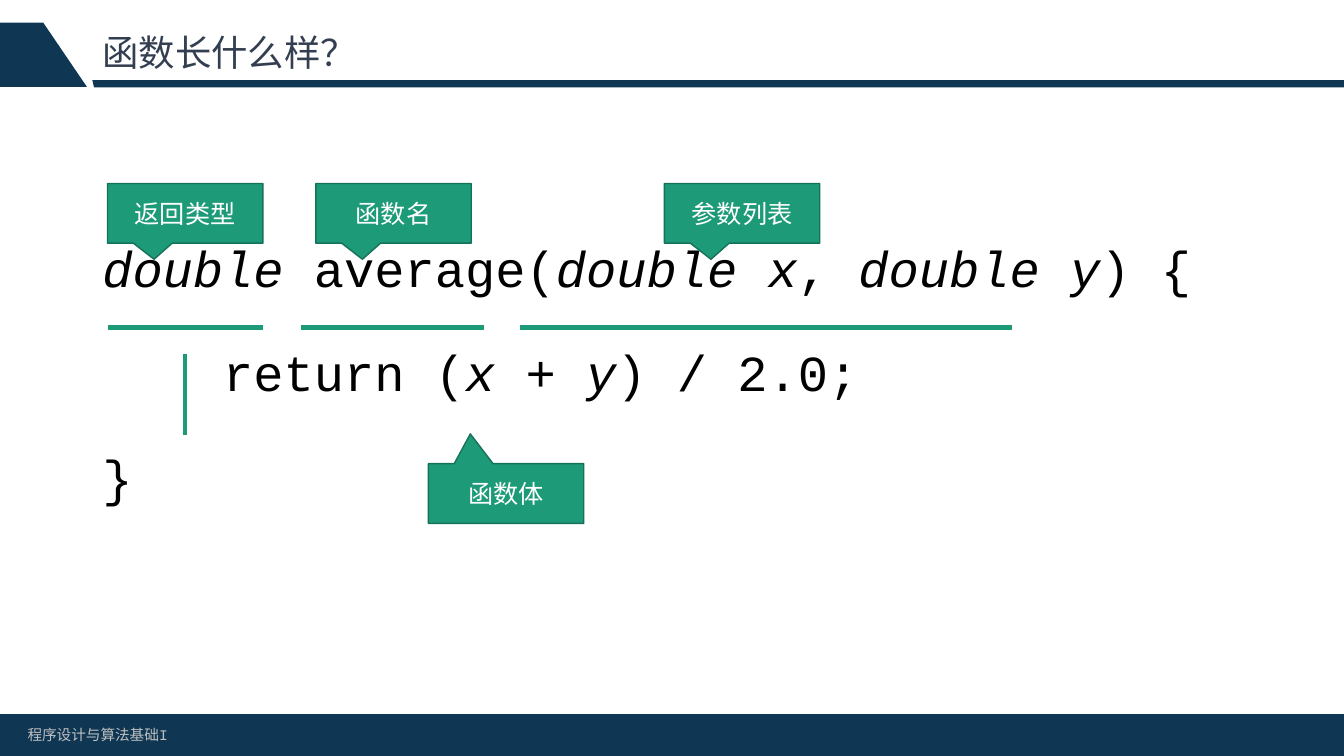
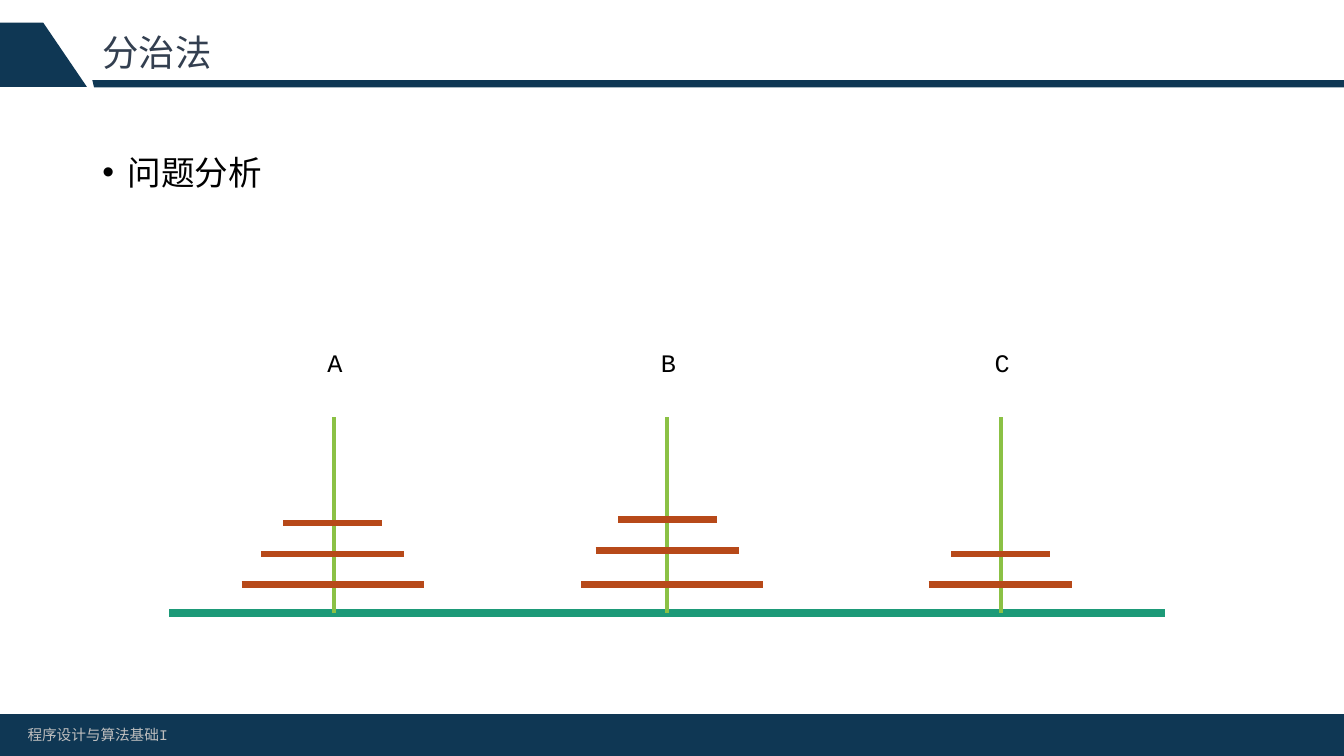
from pptx import Presentation, util as u
from pptx.dml.color import RGBColor
from pptx.enum import lang, shapes, text
from pptx.oxml.ns import qn
from lxml import etree

NAVY = RGBColor(0x0F, 0x37, 0x54)
SLATE = RGBColor(0x33, 0x3F, 0x50)
GREY = RGBColor(0xBF, 0xBF, 0xBF)
GREEN = RGBColor(0x1D, 0x9A, 0x78)
DARK_GREEN = RGBColor(0x15, 0x72, 0x59)
LIME = RGBColor(0x8B, 0xC1, 0x45)
RUST = RGBColor(0xB7, 0x49, 0x19)
BLACK = RGBColor(0, 0, 0)
WHITE = RGBColor(255, 255, 255)

# The slide is a grid of 160 columns by 90 rows of square cells
COLS, ROWS = 160, 90
CELL = u.Inches(7.5) // ROWS
prs = Presentation()
prs.slide_width, prs.slide_height = COLS * CELL, ROWS * CELL


def write(sp, lines, size, color, align=text.PP_ALIGN.LEFT,
          anchor=text.MSO_ANCHOR.TOP, spacing=1.0, before=0):
    """Fill a shape with paragraphs; each is a list of (text, italic) runs."""
    tf = sp.text_frame
    tf.word_wrap, tf.vertical_anchor = True, anchor
    for i, runs in enumerate(lines):
        p = tf.add_paragraph() if i else tf.paragraphs[0]
        p.alignment, p.line_spacing = align, spacing
        if i:
            p.space_before = u.Pt(before)
        for words, italic in runs:
            r = p.add_run()
            r.text = words
            fmt = {"name": "Courier New", "size": u.Pt(size), "italic": italic,
                   "language_id": lang.MSO_LANGUAGE_ID.SIMPLIFIED_CHINESE}
            for key, value in fmt.items():
                setattr(r.font, key, value)
            r.font.color.rgb = color
    return tf


def line(s, x1, y1, x2, y2, color, width):
    """Draw a straight line between two grid points."""
    ends = [round(v * CELL) for v in (x1, y1, x2, y2)]
    cn = s.shapes.add_connector(shapes.MSO_CONNECTOR.STRAIGHT, *ends)
    cn.line.color.rgb, cn.line.width = color, u.Pt(width)
    etree.SubElement(cn._element.spPr, qn("a:effectLst"))


# Shared frame: title rule, corner block, footer band, footer text, title
BANDS = [
    [(11, 9.55), (COLS, 9.55), (COLS, 10.4), (11.2, 10.4)],
    [(0, 2.7), (5.15, 2.7), (10.35, 10.35), (0, 10.35)],
    [(0, 85), (COLS, 85), (COLS, ROWS), (0, ROWS)],
]
slides = []
for title in ("函数长什么样？", "分治法"):
    s = prs.slides.add_slide(prs.slide_layouts[6])
    for band in BANDS:
        points = [(round(x * CELL), round(y * CELL)) for x, y in band]
        fb = s.shapes.build_freeform(*points[0])
        fb.add_line_segments(points[1:], close=True)
        sp = fb.convert_to_shape()
        sp.shadow.inherit = False
        sp.fill.solid()
        sp.fill.fore_color.rgb = NAVY
        sp.line.fill.background()
    box = [round(v * CELL) for v in (2.1, 85.8, 52, 3.5)]
    write(s.shapes.add_textbox(*box), [[("程序设计与算法基础I", False)]], 10.5, GREY)
    box = [round(v * CELL) for v in (11, 2.7, 138, 7.7)]
    write(s.shapes.add_textbox(*box), [[(title, False)]], 26, SLATE,
          anchor=text.MSO_ANCHOR.MIDDLE, spacing=0.9)
    slides.append(s)

# Slide 1: the code
s = slides[0]
CODE = [
    [("double", True), (" average(", False), ("double x", True), (", ", False),
     ("double y", True), (") {", False)],
    [("    return (", False), ("x", True), (" + ", False), ("y", True),
     (") / 2.0;", False)],
    [("}", False)],
]
box = [round(v * CELL) for v in (11, 24, 138, 51)]
write(s.shapes.add_textbox(*box), CODE, 36, BLACK, spacing=1.5, before=10)

# Callouts naming the parts of the function
DOWN, UP = (-0.2, 0.77), (-0.23, -1)
for label, x, y, tip in (("返回类型", 12.8, 21.85, DOWN), ("函数名", 37.6, 21.85, DOWN),
                         ("参数列表", 79.1, 21.85, DOWN), ("函数体", 51, 55.2, UP)):
    box = [round(v * CELL) for v in (x, y, 18.5, 7.1)]
    sp = s.shapes.add_shape(shapes.MSO_SHAPE.RECTANGULAR_CALLOUT, *box)
    sp.adjustments[0], sp.adjustments[1] = tip
    sp.shadow.inherit = False
    sp.fill.solid()
    sp.fill.fore_color.rgb = GREEN
    sp.line.color.rgb, sp.line.width = DARK_GREEN, u.Pt(1)
    write(sp, [[(label, False)]], 18, WHITE, text.PP_ALIGN.CENTER,
          text.MSO_ANCHOR.MIDDLE)

# Underlines of the head, and the bar beside the body
for x1, x2 in ((12.8, 31.3), (35.8, 57.6), (61.9, 120.5)):
    line(s, x1, 39, x2, 39, GREEN, 3)
line(s, 22.05, 42.1, 22.05, 51.8, GREEN, 3)

# Slide 2: the bullet
s = slides[1]
box = [round(v * CELL) for v in (11, 15.1, 138, 10)]
tf = write(s.shapes.add_textbox(*box), [[("问题分析", False)]], 24, BLACK, spacing=1.5)
pPr = tf.paragraphs[0]._p.get_or_add_pPr()
pPr.set("marL", str(3 * CELL))
pPr.set("indent", str(-3 * CELL))
etree.SubElement(pPr, qn("a:buFont")).set("typeface", "Arial")
etree.SubElement(pPr, qn("a:buChar")).set("char", "•")

# Base, pegs at equal steps, and disks given as (centre, row, width)
BASE, STEP = 72.95, 39.72
LARGE, MEDIUM, SMALL = 21.65, 17.1, 11.7
PEGS = {
    "A": [(39.6, 69.6, LARGE), (39.6, 65.95, MEDIUM), (39.6, 62.3, SMALL)],
    "B": [(80, 69.6, LARGE), (79.45, 65.55, MEDIUM), (79.45, 61.85, SMALL)],
    "C": [(119.1, 69.6, MEDIUM), (119.1, 65.95, SMALL)],
}
line(s, 20.15, BASE, 138.75, BASE, GREEN, 6)
for i, (name, disks) in enumerate(PEGS.items(), 1):
    peg = i * STEP
    line(s, peg, BASE, peg, 49.7, LIME, 3)
    for mid, y, width in disks:
        line(s, mid - width / 2, y, mid + width / 2, y, RUST, 4.5)
    box = [round(v * CELL) for v in (peg - 5.25, 40.8, 10.8, 4.8)]
    write(s.shapes.add_textbox(*box), [[(name, False)]], 18, BLACK,
          text.PP_ALIGN.CENTER)

prs.save("out.pptx")
